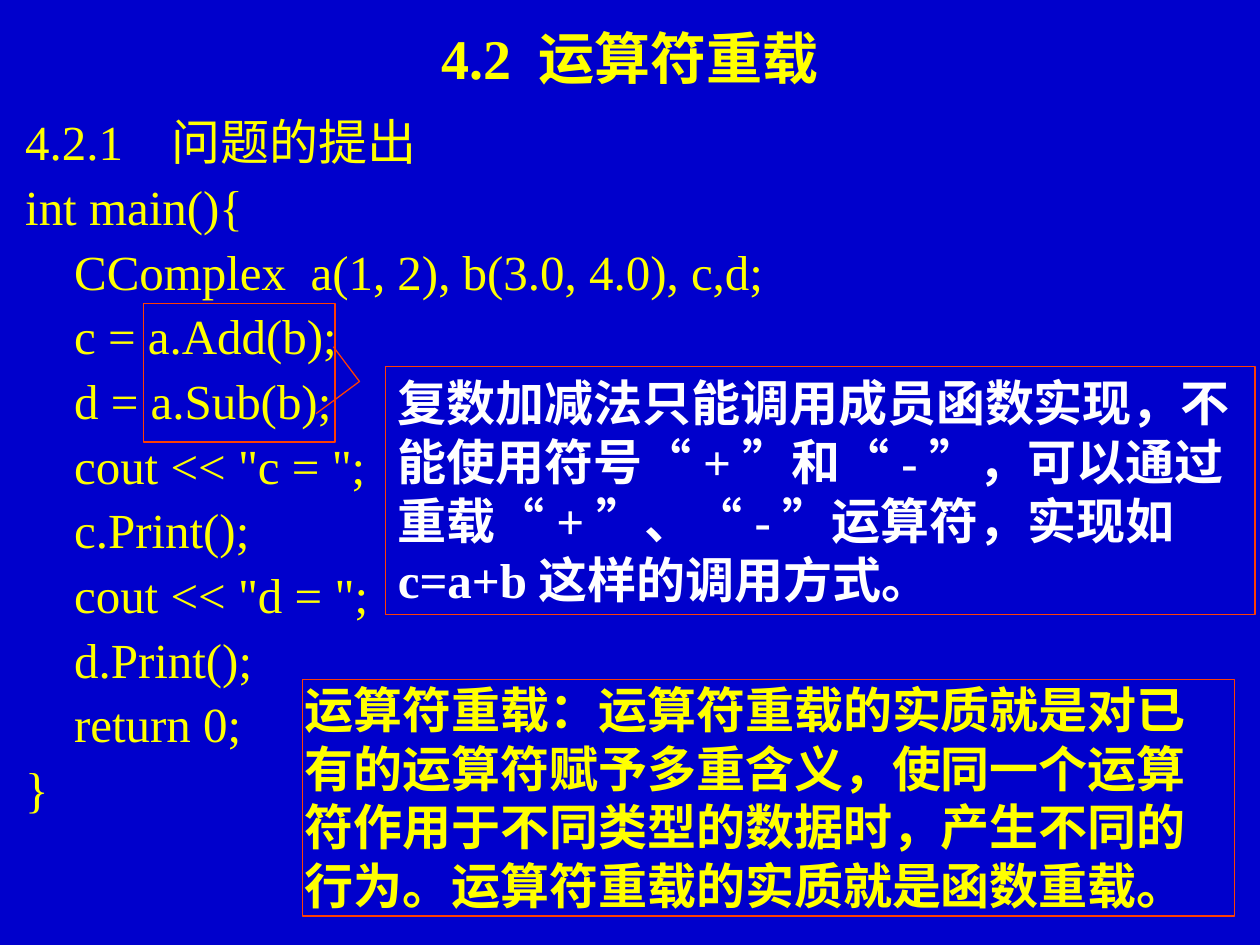
"""Build the slide that introduces operator overloading."""
from lxml import etree
from pptx import Presentation
from pptx.dml.color import RGBColor
from pptx.enum.shapes import MSO_SHAPE
from pptx.enum.text import MSO_ANCHOR, PP_ALIGN
from pptx.oxml.ns import qn
from pptx.util import Inches, Pt

RECT, CALLOUT = MSO_SHAPE.RECTANGLE, MSO_SHAPE.LINE_CALLOUT_2
TOP, MIDDLE = MSO_ANCHOR.TOP, MSO_ANCHOR.MIDDLE
LEFT, CENTER = PP_ALIGN.LEFT, PP_ALIGN.CENTER
SERIF, CJK = "Times New Roman", "Noto Sans CJK SC"
YELLOW, WHITE, ORANGE, BLUE = "FFFF00", "FFFFFF", "FD3F03", "0000CC"


def rgb(value):
    return RGBColor.from_string(value)


def write(sp, lines, insets, anchor=TOP, align=LEFT, size=28, font=SERIF, color=YELLOW, bold=True):
    tf = sp.text_frame
    tf.word_wrap = True
    tf.vertical_anchor = anchor
    tf.margin_left, tf.margin_top, tf.margin_right, tf.margin_bottom = map(Inches, insets)
    for i, line in enumerate(lines):
        p = tf.paragraphs[0] if i == 0 else tf.add_paragraph()
        p.alignment = align
        r = p.add_run()
        r.text = line
        r.font.size = Pt(size)
        r.font.bold = bold
        r.font.name = font
        r.font.color.rgb = rgb(color)
        etree.SubElement(r.font._element, qn("a:ea"), typeface=CJK)
    return tf


prs = Presentation()
prs.slide_width, prs.slide_height = Inches(10), Inches(7.5)
s = prs.slides.add_slide(prs.slide_layouts[6])
s.background.fill.solid()
s.background.fill.fore_color.rgb = rgb(BLUE)

code = [
    "4.2.1\t问题的提出",
    "int main(){",
    "    CComplex  a(1, 2), b(3.0, 4.0), c,d;",
    "    c = a.Add(b);",
    "    d = a.Sub(b);",
    '    cout << "c = ";',
    "    c.Print();",
    '    cout << "d = ";',
    "    d.Print();",
    "    return 0;",
    "}",
]
sp = s.shapes.add_textbox(Inches(0.2), Inches(0.84), Inches(9.61), Inches(5.65))
tf = write(sp, code, (0, 0, 0, 0), bold=False)
for p in tf.paragraphs:
    p.line_spacing = 1.1
tabs = etree.SubElement(tf.paragraphs[0]._p.get_or_add_pPr(), qn("a:tabLst"))
etree.SubElement(tabs, qn("a:tab"), pos=str(Inches(1.16)), algn="l")

sp = s.shapes.add_textbox(0, Inches(0.13), Inches(10), Inches(0.64))
write(sp, ["4.2 运算符重载"], (0.1, 0.05, 0.1, 0.05), MIDDLE, CENTER, 32)

outlines = []
for shape, x, y, w, h in [
    (CALLOUT, 3.06, 2.91, 6.9, 1.97),
    (RECT, 1.14, 2.41, 1.52, 1.1),
    (RECT, 2.4, 5.39, 7.4, 1.88),
]:
    sp = s.shapes.add_shape(shape, Inches(x), Inches(y), Inches(w), Inches(h))
    sp.shadow.inherit = False
    sp.fill.background()
    sp.line.color.rgb = rgb(ORANGE)
    sp.line.width = Pt(0.75)
    outlines.append(sp)
callout, calls, definition = outlines

for i, value in enumerate((0.19, -0.08, 0.06, -0.03, -0.08, -0.06)):
    callout.adjustments[i] = value
write(
    callout,
    ["复数加减法只能调用成员函数实现，不能使用符号“+”和“-”，可以通过重载“+”、“-”运算符，实现如c=a+b这样的调用方式。"],
    (0.1, 0.05, 0.1, 0.05),
    color=WHITE,
)
tf = write(
    definition,
    ["运算符重载：运算符重载的实质就是对已有的运算符赋予多重含义，使同一个运算符作用于不同类型的数据时，产生不同的行为。运算符重载的实质就是函数重载。"],
    (0.02, 0, 0.02, 0.01),
    MIDDLE,
    font=CJK,
)
tf.paragraphs[0].space_after = Pt(2)

prs.save("out.pptx")
